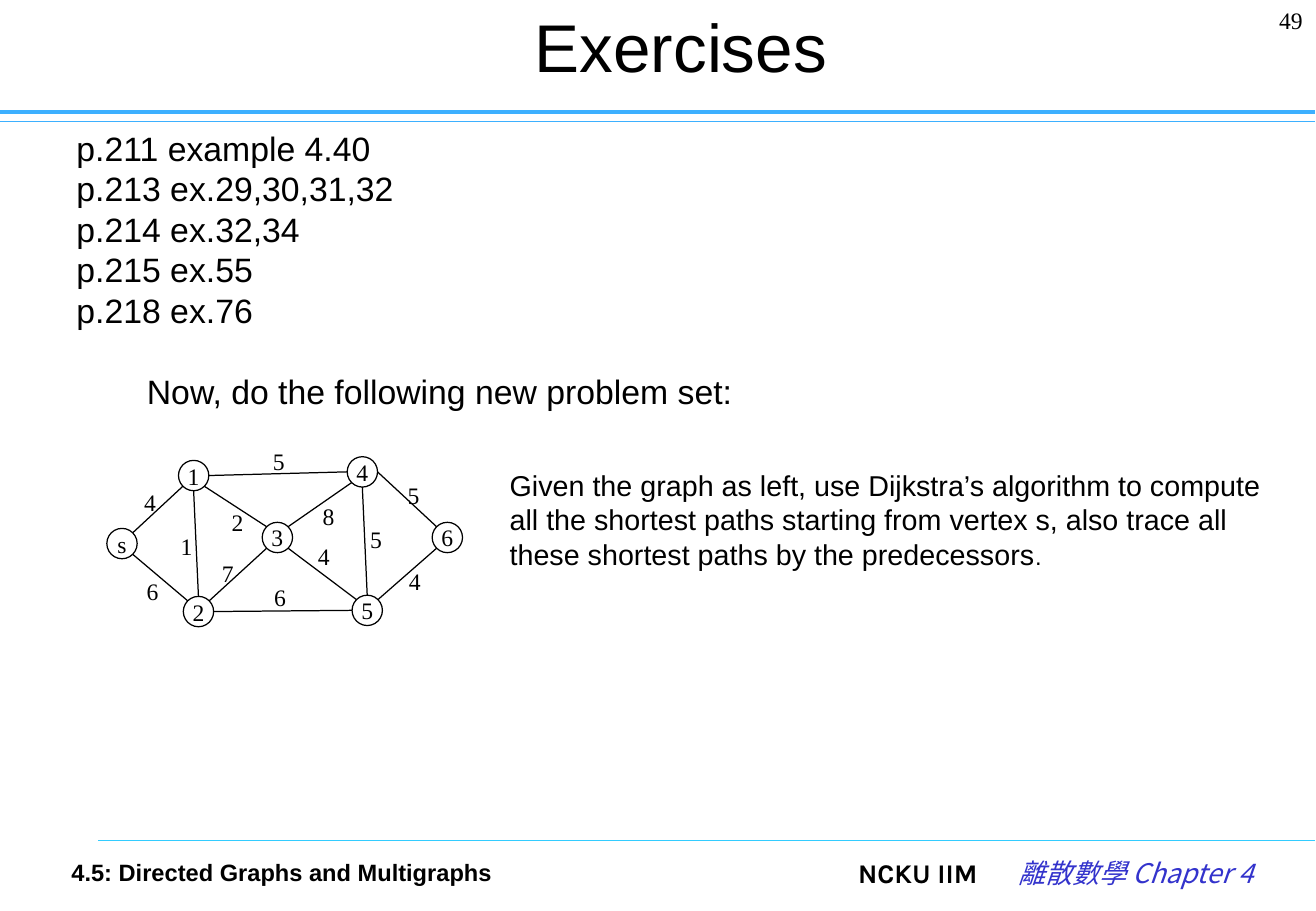
"""Build the exercises slide with its weighted graph."""
import math
from lxml import etree
from pptx import Presentation, util as u
from pptx.dml.color import RGBColor
from pptx.enum import shapes, text
from pptx.oxml.ns import qn

BLACK = RGBColor(0, 0, 0)
SKY = RGBColor(0x3D, 0xB0, 0xFF)
CYAN = RGBColor(0x33, 0xCC, 0xFF)
NAVY = RGBColor(0x33, 0x33, 0xCC)
SANS, SERIF = "Arial", "Times New Roman"
LEFT, MID, RIGHT = text.PP_ALIGN.LEFT, text.PP_ALIGN.CENTER, text.PP_ALIGN.RIGHT
SIZE = 0.25

RULES = [(0, 1, SKY, 0.75), (0, 0.92, SKY, 2.5), (0.81, 6.92, CYAN, 0.75)]
TASKS = ["p.211 example 4.40", "p.213 ex.29,30,31,32", "p.214 ex.32,34",
         "p.215 ex.55", "p.218 ex.76"]
NODES = {"3": (2.16, 4.3), "s": (0.88, 4.35), "4": (2.86, 3.76),
         "2": (1.51, 4.91), "5": (2.9, 4.9), "6": (3.56, 4.3),
         "1": (1.47, 3.79)}
EDGES = [("s", "1", "4", 1.09, 3.97), ("s", "2", "6", 1.11, 4.7),
         ("1", "2", "1", 1.39, 4.33), ("1", "3", "2", 1.81, 4.13),
         ("4", "1", "5", 2.15, 3.63), ("3", "2", "7", 1.73, 4.55),
         ("4", "6", "5", 3.26, 3.91), ("4", "5", "5", 2.95, 4.27),
         ("4", "3", "8", 2.56, 4.08), ("5", "3", "4", 2.52, 4.41),
         ("2", "5", "6", 2.16, 4.75), ("5", "6", "4", 3.27, 4.62)]
TURNS = {("4", "6"): -1}
PROMPT = ["Given the graph as left, use Dijkstra’s algorithm to compute ",
          "all the shortest paths starting from vertex s, also trace all ",
          "these shortest paths by the predecessors"]


def add_run(par, words, size, face=SANS, color=BLACK, bold=False, slant=False):
    """Add one formatted run."""
    run = par.add_run()
    run.text = words
    font = run.font
    font.size, font.name, font.bold, font.italic = u.Pt(size), face, bold, slant
    font.color.rgb = color
    props = run._r.get_or_add_rPr()
    etree.SubElement(props, qn("a:ea")).set("typeface", face)


def add_box(slide, x, y, w, h, align=LEFT, wrap=False):
    """Add a text box and return its first paragraph."""
    frame = slide.shapes.add_textbox(*map(u.Inches, (x, y, w, h))).text_frame
    frame.word_wrap = wrap
    par = frame.paragraphs[0]
    par.alignment = align
    return par


def add_line(slide, start, end, color=BLACK, width=0.75):
    """Draw a straight line without a shadow."""
    line = slide.shapes.add_connector(
        shapes.MSO_CONNECTOR.STRAIGHT, *map(u.Inches, (*start, *end)))
    line.line.color.rgb = color
    line.line.width = u.Pt(width)
    etree.SubElement(line._element.spPr, qn("a:effectLst"))


def add_node(slide, name, x, y):
    """Draw one vertex."""
    node = slide.shapes.add_shape(
        shapes.MSO_SHAPE.FLOWCHART_CONNECTOR,
        *map(u.Inches, (x, y, SIZE, SIZE)))
    node.shadow.inherit = False
    node.fill.background()
    node.line.color.rgb = BLACK
    node.line.width = u.Pt(0.75)
    frame = node.text_frame
    frame.word_wrap = False
    frame.vertical_anchor = text.MSO_ANCHOR.MIDDLE
    par = frame.paragraphs[0]
    par.alignment = MID
    add_run(par, name, 14, SERIF)


def rim(name, step):
    """Return the rim point of a vertex at a multiple of 45 degrees."""
    x, y = NODES[name]
    turn = step * math.pi / 4
    half = SIZE / 2
    return x + half + half * math.cos(turn), y + half + half * math.sin(turn)


def add_edge(slide, a, b):
    """Join two vertices at their nearest rim points."""
    (ax, ay), (bx, by) = NODES[a], NODES[b]
    step = round(math.atan2(by - ay, bx - ax) / (math.pi / 4))
    add_line(slide, rim(a, step + TURNS.get((a, b), 0)), rim(b, step + 4))


def add_graph(slide):
    """Draw the vertices, edges and weights."""
    for name, spot in NODES.items():
        add_node(slide, name, *spot)
    for a, b, *_ in EDGES:
        add_edge(slide, a, b)
    for *_, cost, x, y in EDGES:
        add_run(add_box(slide, x, y, 0.3, 0.34), cost, 14, SERIF)


def place(shape, x, y, w, h):
    """Move a placeholder and return its text frame."""
    shape.left, shape.top, shape.width, shape.height = map(
        u.Inches, (x, y, w, h))
    frame = shape.text_frame
    frame.auto_size = text.MSO_AUTO_SIZE.NONE
    frame.word_wrap = True
    return frame


def add_title(slide):
    """Fill the title."""
    frame = place(slide.shapes.title, 1.44, 0, 8.49, 0.75)
    frame.vertical_anchor = text.MSO_ANCHOR.MIDDLE
    par = frame.paragraphs[0]
    par.alignment = MID
    add_run(par, "Exercises ", 40)


def add_item(par, words, left=0, gap=0):
    """Fill one unbulleted body paragraph."""
    props = par._p.get_or_add_pPr()
    props.set("marL", str(u.Inches(left)))
    props.set("indent", "0")
    etree.SubElement(props, qn("a:buNone"))
    par.space_before = u.Pt(gap)
    add_run(par, words, 20)


def add_body(slide):
    """Fill the list of exercises."""
    frame = place(slide.placeholders[1], 0.53, 1, 10.09, 5.92)
    frame.vertical_anchor = text.MSO_ANCHOR.TOP
    for i, task in enumerate(TASKS):
        add_item(frame.add_paragraph() if i else frame.paragraphs[0], task)
    add_item(frame.add_paragraph(), "Now, do the following new problem set:",
             0.58, 24)


def add_prompt(slide):
    """Add the problem statement beside the graph."""
    par = add_box(slide, 4.1, 3.8, 6.46, 0.95)
    for i, words in enumerate(PROMPT):
        if i:
            par.add_line_break()
        add_run(par, words, 17)
    add_run(par, ".", 14)


def add_foot(slide):
    """Add the footer texts and the page number."""
    par = add_box(slide, 6.15, 7, 2, 0.5, RIGHT, True)
    add_run(par, "NCKU IIM", 16, "Karla", bold=True)
    par = add_box(slide, 8.15, 7, 2.27, 0.5, RIGHT, True)
    add_run(par, "離散數學 Chapter 4", 16, "Noto Sans CJK SC", NAVY, slant=True)
    par = add_box(slide, 9.93, 0, 0.9, 0.5, RIGHT, True)
    add_run(par, "49", 14, SERIF)
    par = add_box(slide, 0.49, 7.01, 4, 0.34, wrap=True)
    add_run(par, "4.5: Directed Graphs and Multigraphs", 14, bold=True)


def main():
    """Build and save the slide."""
    deck = Presentation()
    deck.slide_width, deck.slide_height = u.Inches(10.84), u.Inches(7.5)
    slide = deck.slides.add_slide(deck.slide_layouts[1])
    for x, y, color, width in RULES:
        add_line(slide, (x, y), (10.83, y), color, width)
    add_title(slide)
    add_body(slide)
    add_graph(slide)
    add_prompt(slide)
    add_foot(slide)
    deck.save("out.pptx")


if __name__ == "__main__":
    main()
